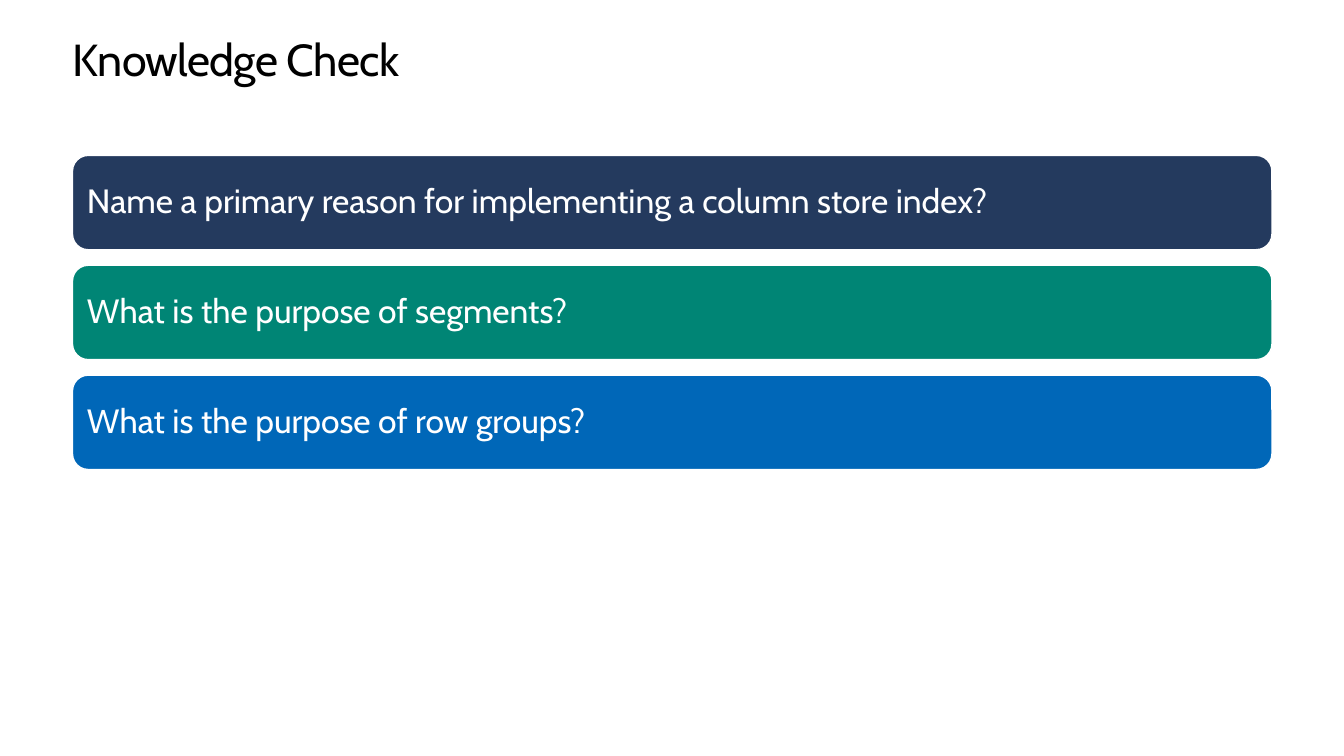
from pptx import Presentation
from pptx.dml.color import RGBColor
from pptx.enum import shapes, text
from pptx.util import Pt

FONT = "Cabin"
TITLE = "Knowledge Check"
CARDS = [
    ("Name a primary reason for implementing a column store index?", "243A5E"),
    ("What is the purpose of segments?", "008575"),
    ("What is the purpose of row groups?", "0067B8"),
]
LEFT, WIDTH = 51.8, 856.8
TOP, HEIGHT, STEP = 111, 67.4, 78.5
INSET = 7.2


def color(code):
    return RGBColor.from_string(code)


def write(frame, words, size, code, inset, anchor, line):
    frame.word_wrap = True
    frame.auto_size = text.MSO_AUTO_SIZE.NONE
    frame.vertical_anchor = anchor
    frame.margin_left = frame.margin_right = Pt(inset)
    frame.margin_top = frame.margin_bottom = Pt(inset)
    par = frame.paragraphs[0]
    par.text = words
    par.alignment = text.PP_ALIGN.LEFT
    par.line_spacing = line
    par.space_before = Pt(0)
    par.font.name = FONT
    par.font.size = Pt(size)
    par.font.color.rgb = color(code)
    return par


def add_title(slide):
    title = slide.shapes.title
    title.left, title.top = Pt(LEFT), Pt(25.2)
    title.width, title.height = Pt(WIDTH), Pt(36.2)
    par = write(title.text_frame, TITLE, 32, "000000", 0,
                text.MSO_ANCHOR.TOP, Pt(36.2))
    par.runs[0].font._element.set("spc", "-50")


def add_card(slide, row, words, fill):
    card = slide.shapes.add_shape(
        shapes.MSO_SHAPE.ROUNDED_RECTANGLE,
        Pt(LEFT), Pt(TOP + row * STEP), Pt(WIDTH), Pt(HEIGHT))
    card.shadow.inherit = False
    card.fill.solid()
    card.fill.fore_color.rgb = color(fill)
    card.line.color.rgb = color("FFFFFF")
    card.line.width = Pt(1)
    write(card.text_frame, words, 24, "FFFFFF", INSET,
          text.MSO_ANCHOR.MIDDLE, 0.9)


def main():
    deck = Presentation()
    deck.slide_width, deck.slide_height = Pt(960), Pt(540)
    slide = deck.slides.add_slide(deck.slide_layouts[5])
    add_title(slide)
    for row, (words, fill) in enumerate(CARDS):
        add_card(slide, row, words, fill)
    deck.save("out.pptx")


if __name__ == "__main__":
    main()
